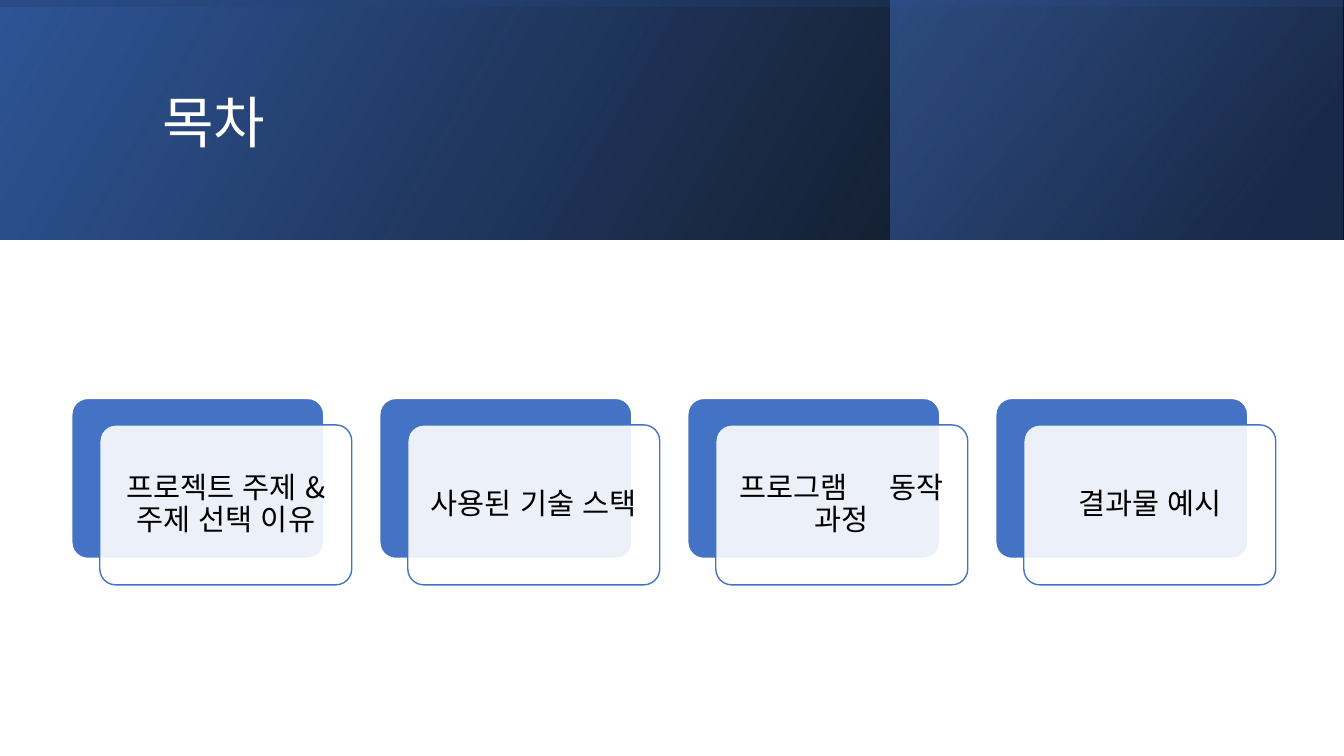
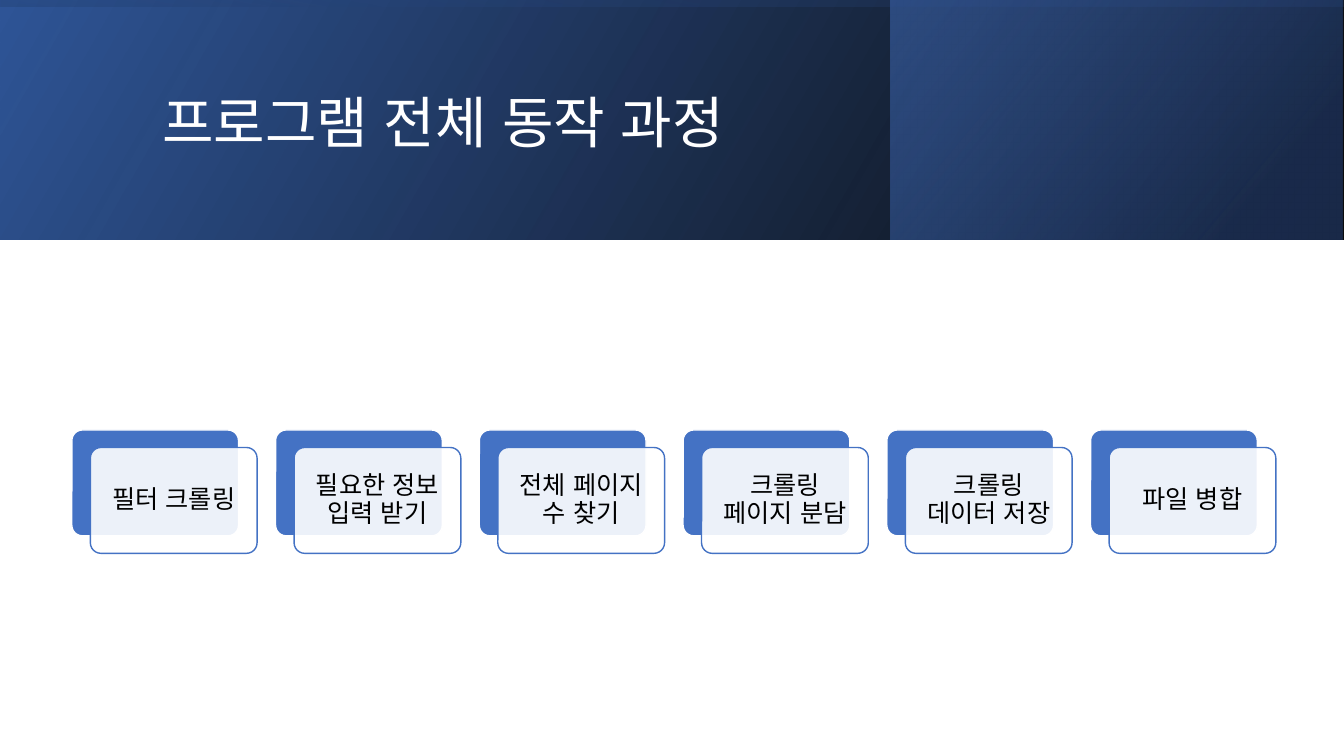
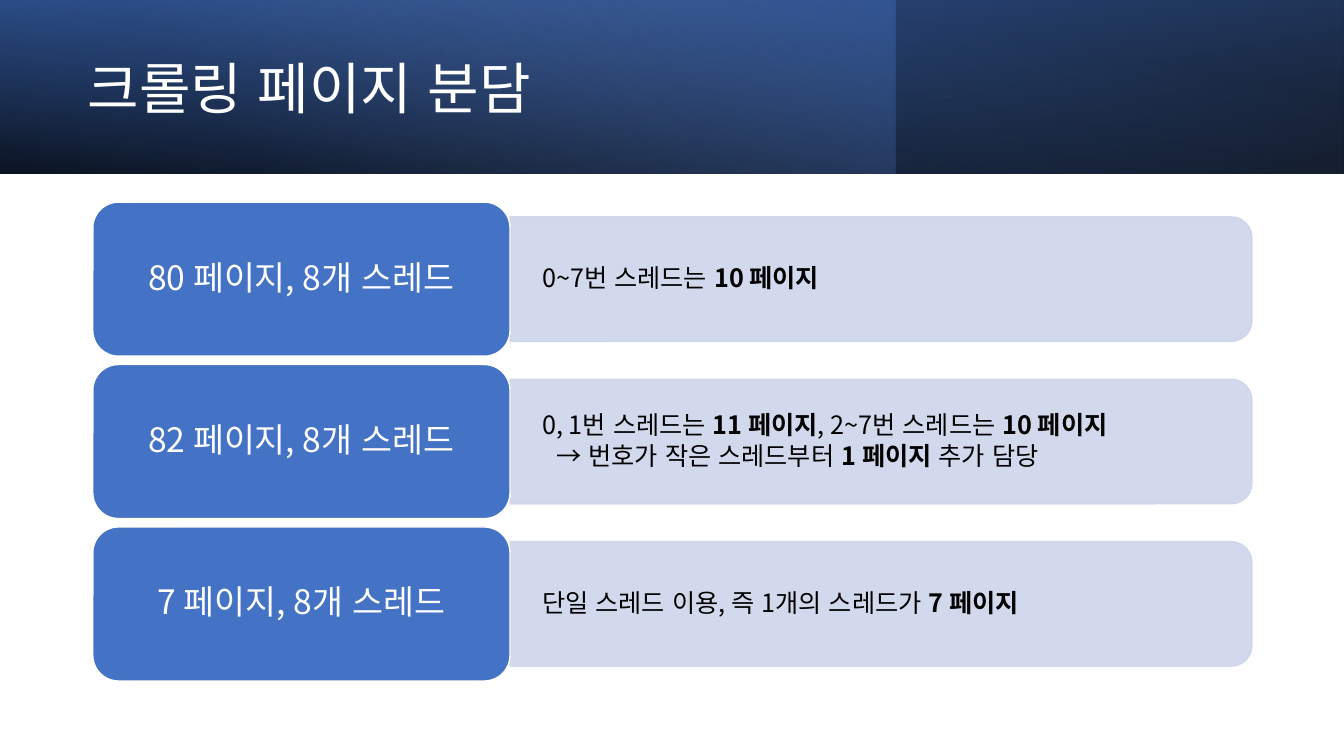
"""Three slides on a page-crawling program: contents, process and page sharing."""
from collections import namedtuple
from dataclasses import dataclass

from lxml.etree import SubElement
from pptx import Presentation
from pptx.dml.color import RGBColor
from pptx.enum.lang import MSO_LANGUAGE_ID
from pptx.enum.shapes import MSO_SHAPE
from pptx.enum.text import MSO_ANCHOR, MSO_AUTO_SIZE, PP_ALIGN
from pptx.oxml.ns import qn
from pptx.util import Pt


@dataclass(frozen=True)
class Theme:
    """Colours, font and type sizes."""
    font: str = "Noto Sans CJK KR"
    blue: str = "4472C4"
    deep: str = "2F5597"
    navy: str = "203864"
    sky: str = "8FAADC"
    pale: str = "CFD5EA"
    black: str = "000000"
    white: str = "FFFFFF"
    title: int = 40
    label: int = 24
    body: int = 18
    large: int = 21


Run = namedtuple("Run", "text bold gap", defaults=(False, 0))
Band = namedtuple("Band", "x w turn flip angle stops")
T = Theme()
WIDE, HIGH = 960, 540
BASE = [(0, T.black, 96), (100, T.deep, 100)]
TALL = [
    Band(0, WIDE, 0, True, 330, BASE),
    Band(636, 323, 0, True, 320, [(19, T.navy, 68), (100, T.blue, 48)]),
    Band(0, WIDE, 270, True, 350, [(23, T.deep, 16), (99, T.black, 45)]),
]
SLIM = [
    Band(0, WIDE, 180, True, 100, BASE),
    Band(0, 640, 0, False, 140, [(0, T.blue, 41), (74, T.sky, 0)]),
    Band(0, WIDE, 0, True, 260, [(0, T.black, 63), (78, T.blue, 15)]),
]


def put(item, **vals):
    """Set each named attribute of an item."""
    for name, val in vals.items():
        setattr(item, name, val)


def fade(shape, *alphas):
    """Set the opacity of a shape's colours in order."""
    for color, alpha in zip(shape.element.spPr.iter(qn("a:srgbClr")), alphas):
        SubElement(color, qn("a:alpha"), val=str(alpha * 1000))


class Deck:
    """Holds the style and the current slide."""

    def __init__(self):
        """Start an empty wide deck."""
        self.prs = Presentation()
        put(self.prs, slide_width=Pt(WIDE), slide_height=Pt(HIGH))
        self.slide = None

    def page(self, title, bands, high, box):
        """Add a slide with header bands and a title."""
        self.slide = self.prs.slides.add_slide(self.prs.slide_layouts[5])
        for band in bands:
            self.band(band, high)
        head = self.slide.shapes.title
        self.slide.shapes.element.append(head.element)
        put(head, **dict(zip(("left", "top", "width", "height"), map(Pt, box))))
        self.frame(head, [[Run(title)]], T.title, T.white, PP_ALIGN.LEFT)

    def shape(self, kind, box, turn=0, fill=None, line=None):
        """Add a preset shape that covers the box after its turn."""
        x, y, w, h = box
        if turn % 180:
            x, y, w, h = x + (w - h) / 2, y + (h - w) / 2, h, w
        shape = self.slide.shapes.add_shape(kind, *map(Pt, (x, y, w, h)))
        shape.rotation = turn
        shape.shadow.inherit = False
        if fill:
            shape.fill.solid()
            shape.fill.fore_color.rgb = RGBColor.from_string(fill)
        if line:
            shape.line.color.rgb = RGBColor.from_string(line)
            shape.line.width = Pt(1)
        else:
            shape.line.fill.background()
        return shape

    def band(self, band, high):
        """Add one gradient header band."""
        shape = self.shape(MSO_SHAPE.RECTANGLE, (band.x, 0, band.w, high), band.turn)
        if band.flip:
            shape.element.spPr.xfrm.set("flipH", "1")
        shape.fill.gradient()
        shape.fill.gradient_angle = 360 - band.angle
        for stop, (place, color, _) in zip(shape.fill.gradient_stops, band.stops):
            stop.position = place / 100
            stop.color.rgb = RGBColor.from_string(color)
        fade(shape, *(alpha for _, _, alpha in band.stops))

    def frame(self, shape, paras, size, color, align, inset=(7.2, 3.6), after=0):
        """Write paragraphs of runs into a shape."""
        frame = shape.text_frame
        side, edge = map(Pt, inset)
        put(frame, word_wrap=True, auto_size=MSO_AUTO_SIZE.NONE,
            vertical_anchor=MSO_ANCHOR.MIDDLE, margin_left=side,
            margin_right=side, margin_top=edge, margin_bottom=edge)
        for num, runs in enumerate(paras):
            para = frame.add_paragraph() if num else frame.paragraphs[0]
            put(para, alignment=align, line_spacing=0.9, space_after=Pt(after))
            if num:
                para._p.get_or_add_pPr().set("marL", str(Pt(10)))
            for part in runs:
                self.run(para, part, size, color)

    def run(self, para, part, size, color):
        """Add one run of text."""
        run = para.add_run()
        run.text = part.text
        put(run.font, name=T.font, size=Pt(size), bold=part.bold,
            language_id=MSO_LANGUAGE_ID.KOREAN)
        run.font.color.rgb = RGBColor.from_string(color)
        props = run._r.get_or_add_rPr()
        SubElement(props, qn("a:ea"), typeface=T.font)
        if part.gap:
            props.set("spc", str(part.gap * 100))

    def cards(self, items, size):
        """Add a centred row of layered cards."""
        wide = 860 * 9 / (11 * len(items) - 1)
        high, drop = wide * 0.635, wide * 0.105
        top = 351.2 - (high + drop) / 2
        for num, runs in enumerate(items):
            left = 51.3 + num * wide * 11 / 9
            back = self.shape(MSO_SHAPE.ROUNDED_RECTANGLE, (left, top, wide, high),
                              fill=T.blue, line=T.white)
            front = self.shape(MSO_SHAPE.ROUNDED_RECTANGLE,
                               (left + wide / 9, top + drop, wide, high),
                               fill=T.white, line=T.blue)
            for card in (back, front):
                card.adjustments[0] = 0.1
            fade(front, 90)
            self.frame(front, [runs], size, T.black, PP_ALIGN.CENTER,
                       (size * 0.3, size * 0.3))

    def row(self, top, label, paras):
        """Add a label block with its explaining panel."""
        left, wide, high, thin = 66.3, 298, 110, 89
        edge = left + wide
        inner = top + (high - thin) / 2
        panel = self.shape(MSO_SHAPE.ROUND_2_SAME_RECTANGLE, (edge, inner, 530, thin),
                           90, T.pale, T.pale)
        fade(panel, 90, 90)
        note = self.slide.shapes.add_textbox(*map(Pt, (edge, inner, 526, thin)))
        self.frame(note, paras, T.body, T.black, PP_ALIGN.LEFT, (23, 10), 2.7)
        block = self.shape(MSO_SHAPE.ROUNDED_RECTANGLE, (left, top, wide, high),
                           fill=T.blue, line=T.white)
        self.frame(block, [[Run(label)]], T.label, T.white, PP_ALIGN.CENTER)


def main():
    """Build and save the deck."""
    deck = Deck()
    place = (108.7, 27.4, 765.4, 123.8)
    deck.page("목차", TALL, 171, place)
    deck.cards([
        [Run("프로젝트 주제 & 주제 선택 이유")],
        [Run("사용된 기술 스택")],
        [Run("프로그램"), Run(" ", gap=24), Run("동작 과정")],
        [Run("결과물 예시")],
    ], T.large)

    deck.page("프로그램 전체 동작 과정", TALL, 171, place)
    steps = ["필터 크롤링", "필요한 정보 입력 받기", "전체 페이지 수 찾기",
             "크롤링 페이지 분담", "크롤링 데이터 저장", "파일 병합"]
    deck.cards([[Run(step)] for step in steps], T.body)

    deck.page("크롤링 페이지 분담", SLIM, 124, (55.4, 19.4, 401, 91.4))
    rows = [
        ("80 페이지, 8개 스레드",
         [[Run("0~7번 스레드는 "), Run("10 페이지", True)]]),
        ("82 페이지, 8개 스레드",
         [[Run("0, 1번 스레드는 "), Run("11 페이지", True),
           Run(", 2~7번 스레드는 "), Run("10 페이지", True)],
          [Run("→ 번호가 작은 스레드부터 "), Run("1 페이지 ", True),
           Run("추가 담당")]]),
        ("7 페이지, 8개 스레드",
         [[Run("단일 스레드 이용, 즉 1개의 스레드가 "), Run("7 페이지", True)]]),
    ]
    for num, (label, paras) in enumerate(rows):
        deck.row(144.4 + num * 116, label, paras)
    deck.prs.save("out.pptx")


if __name__ == "__main__":
    main()
